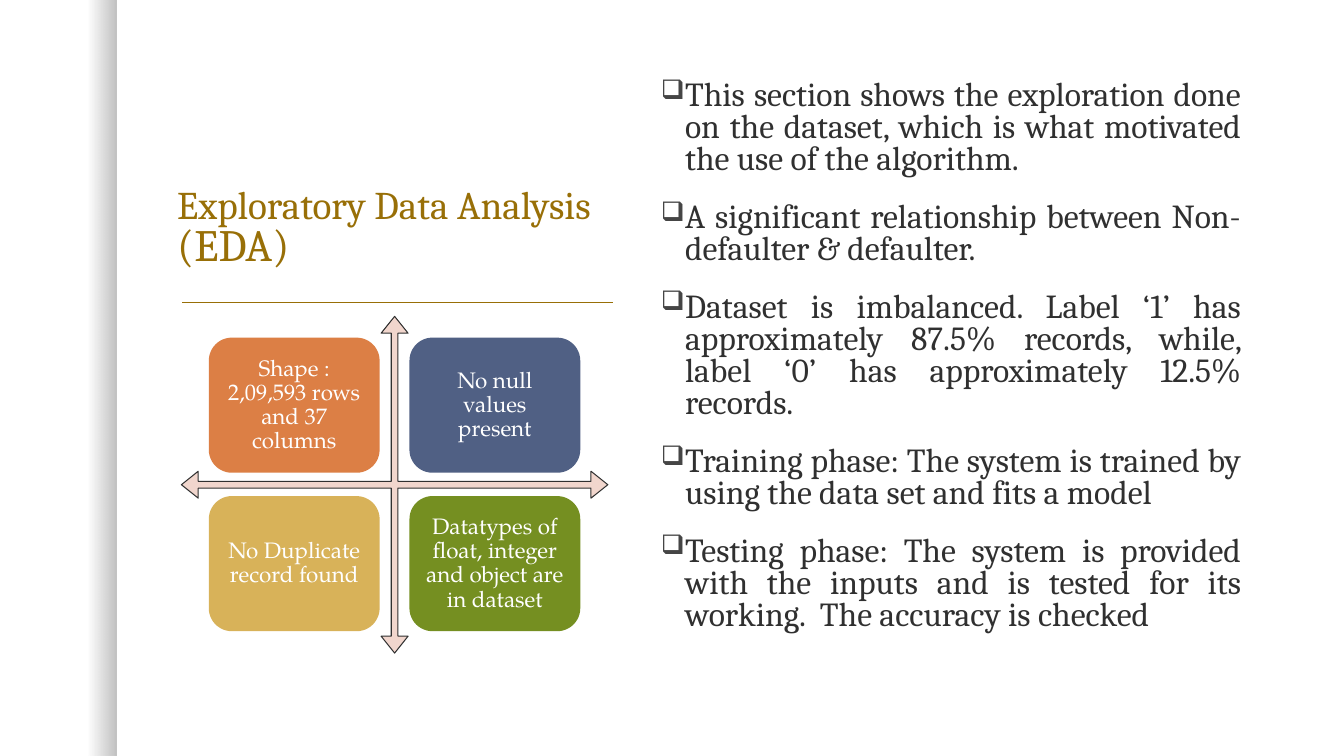
from lxml import etree
from pptx import Presentation
from pptx.dml.color import RGBColor
from pptx.enum.shapes import MSO_CONNECTOR, MSO_SHAPE
from pptx.enum.text import MSO_ANCHOR, PP_ALIGN
from pptx.oxml.ns import qn
from pptx.util import Pt

RECTANGLE, ROUNDED, QUAD_ARROW = MSO_SHAPE.RECTANGLE, MSO_SHAPE.ROUNDED_RECTANGLE, MSO_SHAPE.QUAD_ARROW
STRAIGHT = MSO_CONNECTOR.STRAIGHT
BOTTOM, MIDDLE = MSO_ANCHOR.BOTTOM, MSO_ANCHOR.MIDDLE
CENTER, JUSTIFY = PP_ALIGN.CENTER, PP_ALIGN.JUSTIFY

THEME = {
    "serif": "Cambria", "card_font": "TeX Gyre Pagella",
    "gold": "986F07", "ink": "303030", "bullet": "454545", "white": "FFFFFF",
    "shade": "000000", "arrows": "F1D6CD",
    "cards": ["DC7F45", "506084", "D8B259", "758F21"],
    "title": 28, "abbreviation": 32, "body": 24, "card": 16,
}


def rgb(code):
    return RGBColor.from_string(code)


def add_run(paragraph, text, font, size, color):
    run = paragraph.add_run()
    run.text = text
    run.font.name = font
    run.font.size = Pt(size)
    run.font.color.rgb = rgb(color)


deck = Presentation()
deck.slide_width, deck.slide_height = Pt(960), Pt(540)
slide = deck.slides.add_slide(deck.slide_layouts[6])
shapes = slide.shapes

edge_shade = shapes.add_shape(RECTANGLE, 0, 0, Pt(83.5), Pt(540))
edge_shade.shadow.inherit = False
edge_shade.line.fill.background()
edge_shade.fill.gradient()
edge_shade.fill.gradient_angle = 0
for stop, position in zip(edge_shade.fill.gradient_stops, (0.75, 1)):
    stop.position = position
    stop.color.rgb = rgb(THEME["shade"])
for color, opacity in zip(edge_shade._element.spPr.iter(qn("a:srgbClr")), (0, 25000)):
    etree.SubElement(color, qn("a:alpha")).set("val", str(opacity))

title_rule = shapes.add_connector(STRAIGHT, Pt(130.3), Pt(216), Pt(437.8), Pt(216))
title_rule.line.color.rgb = rgb(THEME["gold"])
title_rule.line.width = Pt(1)
etree.SubElement(title_rule._element.spPr, qn("a:effectLst"))

title = shapes.add_textbox(Pt(119.5), Pt(54), Pt(324), Pt(142.5)).text_frame
title.word_wrap = True
title.vertical_anchor = BOTTOM
heading = title.paragraphs[0]
heading.line_spacing = 0.8
add_run(heading, "Exploratory Data Analysis", THEME["serif"], THEME["title"], THEME["gold"])
heading.add_line_break()
add_run(heading, "(EDA)", THEME["serif"], THEME["abbreviation"], THEME["gold"])

findings = [
    "This section shows the exploration done on the dataset, which is what motivated the use of the algorithm.",
    "A significant relationship between Non-defaulter & defaulter.",
    "Dataset is imbalanced. Label ‘1’ has approximately 87.5% records, while, label ‘0’ has approximately 12.5% records.",
    "Training phase: The system is trained by using the data set and fits a model",
    "Testing phase: The system is provided with the inputs and is tested for its working.  The accuracy is checked",
]
body = shapes.add_textbox(Pt(465), Pt(54), Pt(428.5), Pt(432)).text_frame
body.word_wrap = True
for index, finding in enumerate(findings):
    item = body.paragraphs[0] if index == 0 else body.add_paragraph()
    item_format = {"alignment": JUSTIFY, "line_spacing": 0.8, "space_before": Pt(18 if index else 0)}
    for attribute, value in item_format.items():
        setattr(item, attribute, value)
    properties = item._p.get_or_add_pPr()
    properties.set("marL", str(Pt(17.3)))
    properties.set("indent", str(Pt(-17.3)))
    bullet_color = etree.SubElement(properties, qn("a:buClr"))
    etree.SubElement(bullet_color, qn("a:srgbClr")).set("val", THEME["bullet"])
    etree.SubElement(properties, qn("a:buSzPct")).set("val", "80000")
    etree.SubElement(properties, qn("a:buChar")).set("char", "❑")
    add_run(item, finding, THEME["serif"], THEME["body"], THEME["ink"])

axes = shapes.add_shape(QUAD_ARROW, Pt(129.6), Pt(226), Pt(304.6), Pt(240.5))
axes.shadow.inherit = False
for index, ratio in enumerate((0.02, 0.04, 0.05)):
    axes.adjustments[index] = ratio
axes.fill.solid()
axes.fill.fore_color.rgb = rgb(THEME["arrows"])
axes.line.color.rgb = rgb(THEME["ink"])
axes.line.width = Pt(0.75)

facts = [
    "Shape : 2,09,593 rows and 37 columns",
    "No null values present",
    "No Duplicate record found",
    "Datatypes of float, integer and object are in dataset",
]
frame_format = {
    "word_wrap": True, "vertical_anchor": MIDDLE,
    "margin_left": Pt(6), "margin_right": Pt(6), "margin_top": Pt(5), "margin_bottom": Pt(5),
}
for index, (fact, color) in enumerate(zip(facts, THEME["cards"])):
    row, column = divmod(index, 2)
    card = shapes.add_shape(ROUNDED, Pt(149.2 + 143.3 * column), Pt(241.2 + 113.2 * row), Pt(122), Pt(96.5))
    card.shadow.inherit = False
    card.adjustments[0] = 0.17
    card.fill.solid()
    card.fill.fore_color.rgb = rgb(color)
    card.line.fill.background()
    for attribute, value in frame_format.items():
        setattr(card.text_frame, attribute, value)
    label = card.text_frame.paragraphs[0]
    label.alignment = CENTER
    label.line_spacing = 0.9
    add_run(label, fact, THEME["card_font"], THEME["card"], THEME["white"])

deck.save("out.pptx")
